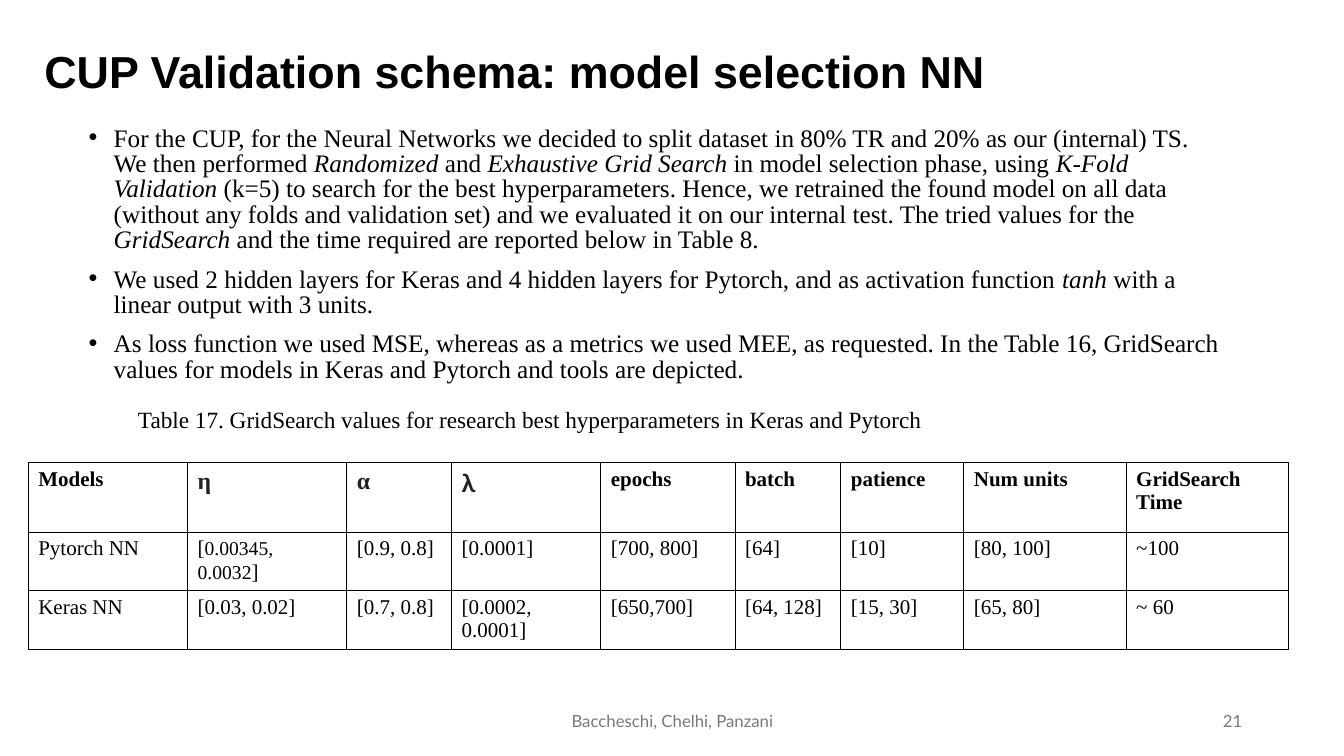
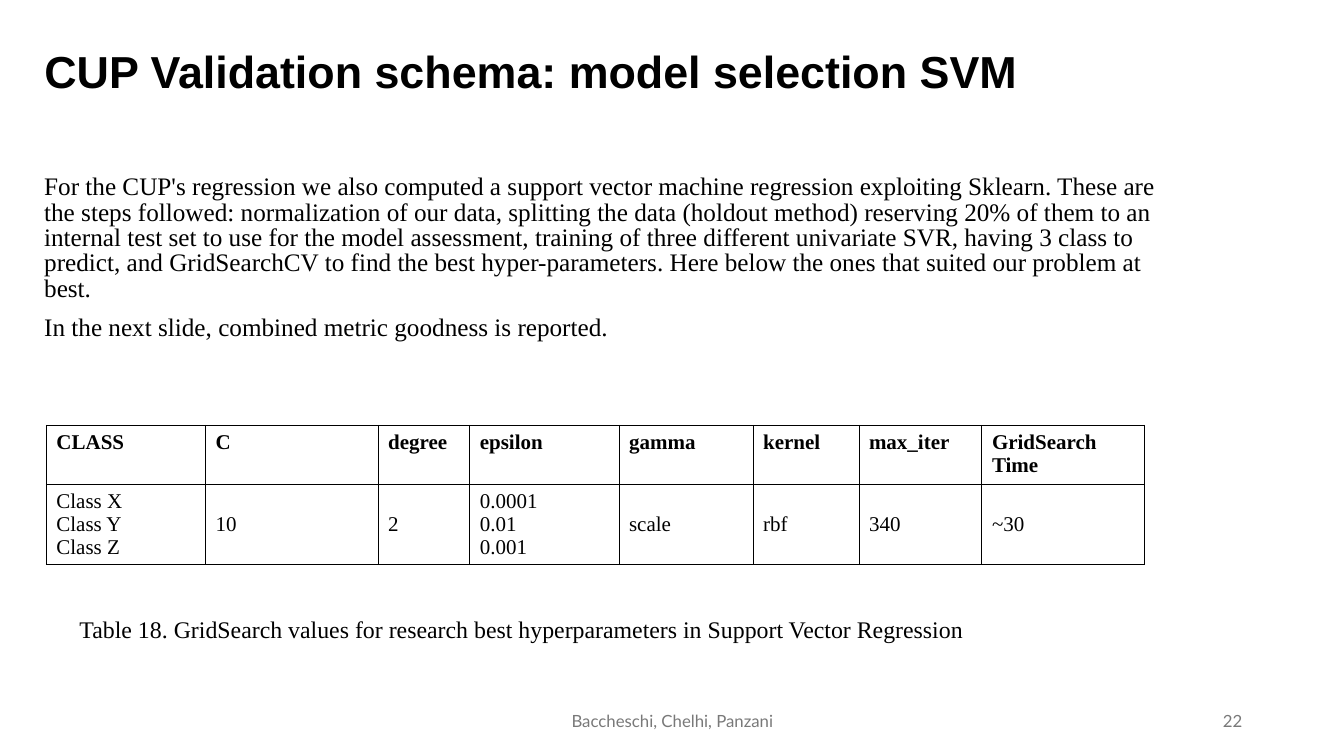
"""Build two slides on model selection for neural networks and support vector regression."""
import pptx
import pptx.dml.color
import pptx.enum.text
import pptx.oxml
import pptx.oxml.ns
import pptx.util

Inches = pptx.util.Inches
Pt = pptx.util.Pt
Align = pptx.enum.text.PP_ALIGN
Anchor = pptx.enum.text.MSO_ANCHOR

COLORS = {"ink": "000000", "symbol": "202122", "footer": "797979", "paper": "FFFFFF"}
SERIF, SANS, FOOTER = "Times New Roman", "Arial", "Lato"
AUTHORS = "Baccheschi, Chelhi, Panzani"


def color(name):
    return pptx.dml.color.RGBColor.from_string(COLORS[name])


def add_bullet(para, indent=0.25):
    properties = para._p.get_or_add_pPr()
    properties.set("marL", str(Inches(indent)))
    properties.set("indent", str(-Inches(indent)))
    namespace = pptx.oxml.ns.nsdecls("a")
    properties.append(pptx.oxml.parse_xml(f'<a:buFont {namespace} typeface="Arial"/>'))
    properties.append(pptx.oxml.parse_xml(f'<a:buChar {namespace} char="•"/>'))


def write(frame, paragraphs, size=18, font=SERIF, ink="ink", bold=False, align=Align.LEFT,
          anchor=Anchor.TOP, spacing=None, before=0, bullet=False):
    frame.word_wrap = True
    frame.auto_size = pptx.enum.text.MSO_AUTO_SIZE.NONE
    frame.vertical_anchor = anchor
    fill(frame, paragraphs, size, font, ink, bold, align, spacing, before, bullet)


def fill(frame, paragraphs, size=15, font=SERIF, ink="ink", bold=False, align=Align.LEFT,
         spacing=None, before=0, bullet=False):
    for index, spans in enumerate(paragraphs):
        para = frame.add_paragraph() if index else frame.paragraphs[0]
        para.alignment = align
        para.space_before = Pt(before)
        if spacing:
            para.line_spacing = spacing
        if bullet:
            add_bullet(para)
        for words, style in [(spans, {})] if isinstance(spans, str) else spans:
            span = para.add_run()
            span.text = words
            span.font.size = Pt(style.get("size", size))
            span.font.name = style.get("font", font)
            span.font.bold = bold
            span.font.italic = style.get("italic", False)
            span.font.color.rgb = color(style.get("ink", ink))


class SlideBuilder:
    """Hold the deck, its shared style and the current page."""

    def __init__(self):
        self.deck = pptx.Presentation()
        self.deck.slide_width = Inches(13.33)
        self.deck.slide_height = Inches(7.5)
        self.page = None

    def start(self, title, number):
        self.page = self.deck.slides.add_slide(self.deck.slide_layouts[5])
        box = self.page.shapes.title
        box.left, box.top = Inches(0.34), Inches(0.01)
        box.width, box.height = Inches(11.5), Inches(1.45)
        write(box.text_frame, [title], size=32, font=SANS, bold=True,
              anchor=Anchor.MIDDLE, spacing=0.9)
        footer = {"size": 12, "font": FOOTER, "ink": "footer", "anchor": Anchor.MIDDLE}
        self.text(4.42, 6.95, 4.5, 0.4, [AUTHORS], align=Align.CENTER, **footer)
        self.text(9.42, 6.95, 3, 0.4, [str(number)], align=Align.RIGHT, **footer)

    def text(self, left, top, width, height, paragraphs, **style):
        box = self.page.shapes.add_textbox(Inches(left), Inches(top), Inches(width), Inches(height))
        write(box.text_frame, paragraphs, **style)

    def body(self, left, top, height, paragraphs, bullet=False):
        self.text(left, top, 11.5, height, paragraphs, spacing=0.84, before=10, bullet=bullet)

    def table(self, left, top, widths, heights, rows, anchor=Anchor.TOP):
        frame = self.page.shapes.add_table(len(rows), len(widths), Inches(left), Inches(top),
                                           Inches(sum(widths)), Inches(sum(heights)))
        grid = frame.table
        grid.first_row = grid.horz_banding = False
        for column, width in zip(grid.columns, widths):
            column.width = Inches(width)
        for row, height in zip(grid.rows, heights):
            row.height = Inches(height)
        for row_index, row in enumerate(rows):
            for column_index, content in enumerate(row):
                cell = grid.cell(row_index, column_index)
                cell.vertical_anchor = anchor if row_index else Anchor.TOP
                cell.fill.solid()
                cell.fill.fore_color.rgb = color("paper")
                self.border(cell)
                paragraphs = content.split("\n") if isinstance(content, str) else [content]
                fill(cell.text_frame, paragraphs, bold=row_index == 0)

    def border(self, cell):
        properties = cell._tc.get_or_add_tcPr()
        for position, side in enumerate(("lnL", "lnR", "lnT", "lnB")):
            properties.insert(position, pptx.oxml.parse_xml(
                f'<a:{side} {pptx.oxml.ns.nsdecls("a")} w="{Pt(0.75)}"><a:solidFill>'
                f'<a:srgbClr val="{COLORS["ink"]}"/></a:solidFill></a:{side}>'))


def add_network_slide(builder):
    italic = {"italic": True}
    symbol = {"size": 17, "ink": "symbol"}
    builder.start("CUP Validation schema: model selection NN", 21)
    builder.body(0.78, 1.21, 2.67, [
        [("For the CUP, for the Neural Networks we decided to split dataset in 80% TR and 20% "
          "as our (internal) TS. We then performed ", {}),
         ("Randomized ", italic), ("and ", {}), ("Exhaustive Grid Search", italic),
         (" in model selection phase, using ", {}), ("K-Fold Validation", italic),
         (" (k=5) to search for the best hyperparameters. Hence, we retrained the found model "
          "on all data (without any folds and validation set) and we evaluated it on our "
          "internal test. The tried values for the ", {}),
         ("GridSearch ", italic),
         ("and the time required are reported below in Table 8.", {})],
        [("We used 2 hidden layers for Keras and 4 hidden layers for Pytorch, and as "
          "activation function ", {}),
         ("tanh ", italic), ("with a linear output with 3 units.", {})],
        "As loss function we used MSE, whereas as a metrics we used MEE, as requested. In the "
        "Table 16, GridSearch values for models in Keras and Pytorch and tools are depicted.",
    ], bullet=True)
    builder.table(0.28, 4.59, [1.58, 1.58, 1.04, 1.48, 1.33, 1.05, 1.22, 1.61, 1.61],
                  [0.69, 0.58, 0.58], [
        ["Models", [("η", symbol)], [("α", symbol)],
         [("λ", {"size": 18, "font": FOOTER, "ink": "symbol"})],
         "epochs", "batch", "patience", "Num units", "GridSearch Time"],
        ["Pytorch NN", [("[", {}), ("0.00345, 0.0032", {"size": 14}), ("]", {})],
         "[0.9, 0.8]", "[0.0001]", "[700, 800]", "[64]", "[10]", "[80, 100]", "~100"],
        ["Keras NN", "[0.03, 0.02]", "[0.7, 0.8]", "[0.0002, 0.0001]", "[650,700]",
         "[64, 128]", "[15, 30]", "[65, 80]", "~ 60"],
    ])
    builder.text(1.27, 3.87, 11.5, 0.62, [
        "Table 17. GridSearch values for research best hyperparameters in Keras and Pytorch",
    ], size=16.6, anchor=Anchor.MIDDLE, spacing=0.9)


def add_regression_slide(builder):
    builder.start("CUP Validation schema: model selection SVM", 22)
    builder.body(0.34, 1.69, 1.72, [
        "For the CUP's regression we also computed a support vector machine regression "
        "exploiting Sklearn. These are the steps followed: normalization of our data, splitting "
        "the data (holdout method) reserving 20% of them to an internal test set to use for the "
        "model assessment, training of three different univariate SVR, having 3 class to "
        "predict, and GridSearchCV to find the best hyper-parameters. Here below the ones that "
        "suited our problem at best.",
        "In the next slide, combined metric goodness is reported.",
    ])
    builder.table(0.46, 4.22, [1.58, 1.71, 0.91, 1.48, 1.33, 1.05, 1.22, 1.61], [0.59, 0.78], [
        ["CLASS", "C", "degree", "epsilon", "gamma", "kernel", "max_iter", "GridSearch Time"],
        ["Class X\nClass Y\nClass Z", "10", "2", "0.0001\n0.01\n0.001", "scale", "rbf",
         "340", "~30"],
    ], anchor=Anchor.MIDDLE)
    builder.text(0.69, 6.05, 10.76, 0.69, [
        "Table 18. GridSearch values for research best hyperparameters in Support Vector Regression",
    ], size=17)


def main():
    builder = SlideBuilder()
    add_network_slide(builder)
    add_regression_slide(builder)
    builder.deck.save("out.pptx")


if __name__ == "__main__":
    main()
